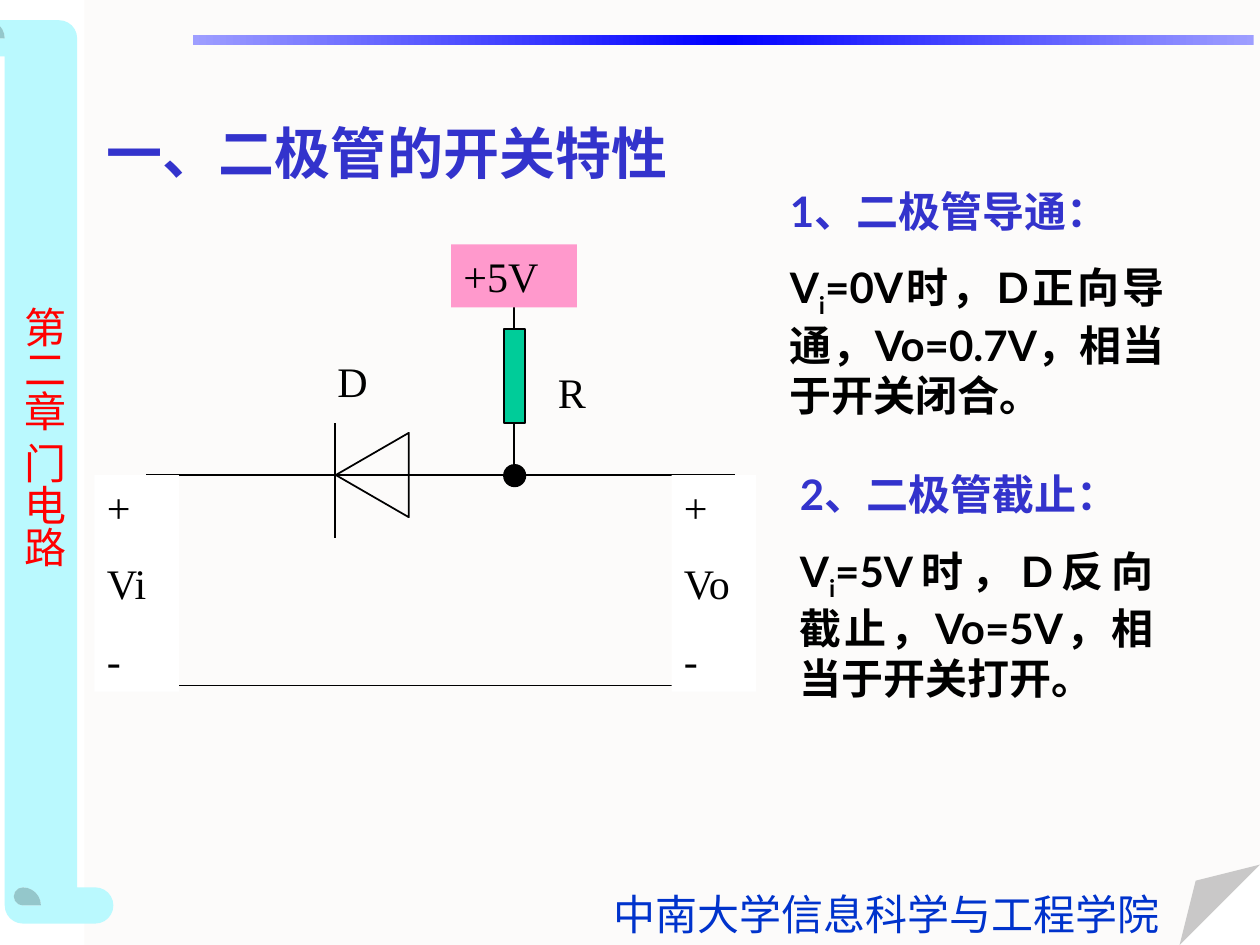
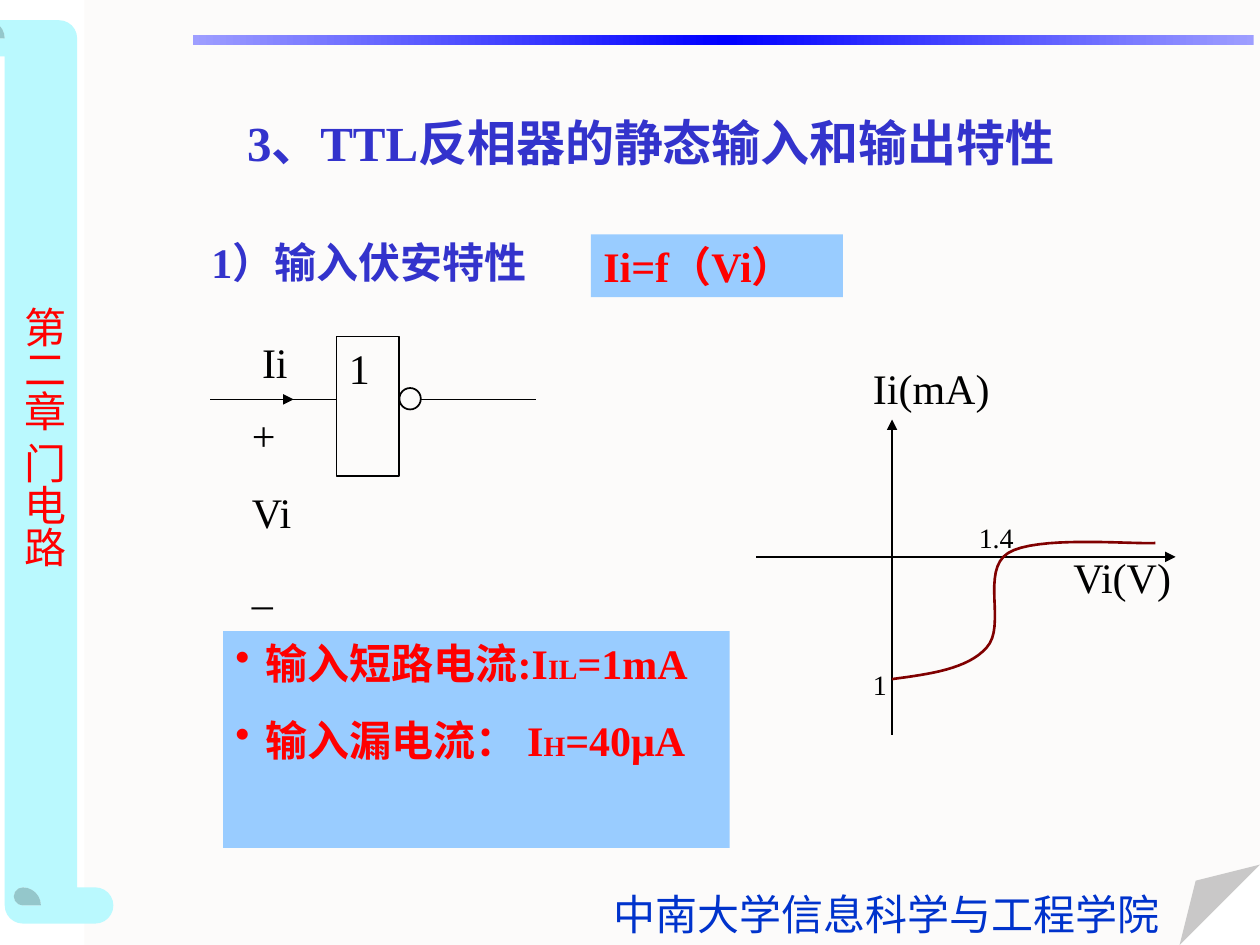
from copy import deepcopy
from dataclasses import dataclass, field
from typing import Any, NamedTuple, Optional

from lxml.etree import SubElement
from pptx import Presentation
from pptx.dml.color import RGBColor
from pptx.enum.shapes import MSO_CONNECTOR, MSO_SHAPE
from pptx.enum.text import MSO_ANCHOR, PP_ALIGN
from pptx.oxml.ns import qn
from pptx.util import Inches, Pt

HUES = {
    "paper": "FCFBFA", "scroll": "BAF9FE", "pale": "9E9EFF", "deep": "0000FF",
    "school": "0033CC", "red": "FF0000", "head": "3333CC", "ink": "000000",
    "green": "00CC99", "pink": "FF99CC", "white": "FFFFFF", "sky": "99CCFF",
    "curve": "800000",
}
ROMAN, LATO, HAN = "Times New Roman", "Lato", "Noto Sans CJK SC"
PAD = (0.1, 0.05, 0.1, 0.05)
NO_PAD = (0, 0, 0, 0)


class Run(NamedTuple):
    text: str
    hue: str = "ink"
    size: int = 24
    face: str = ROMAN
    bold: bool = False
    base: int = 0


@dataclass(frozen=True)
class Para:
    runs: tuple[Run, ...]
    align: Any = PP_ALIGN.LEFT
    bullet: bool = False


@dataclass(frozen=True)
class Box:
    place: tuple[float, float, float, float]
    paras: list[Para] = field(default_factory=list)
    fill: Optional[str] = None
    line: Optional[str] = None
    kind: Any = MSO_SHAPE.RECTANGLE
    turn: int = 0
    adj: Optional[float] = None
    pad: tuple[float, float, float, float] = PAD
    middle: bool = False
    wrap: bool = True
    upright: bool = False


class Wire(NamedTuple):
    x1: float
    y1: float
    x2: float
    y2: float
    arrow: bool = False


def rgb(hue: str) -> RGBColor:
    return RGBColor.from_string(HUES[hue])


def plain(*texts: str, **look: Any) -> list[Para]:
    """One single-run paragraph for each text."""
    return [Para((Run(text, **look),)) for text in texts]


def add_run(para: Any, part: Run) -> None:
    run = para.add_run()
    run.text = part.text
    look = {"size": Pt(part.size), "name": part.face, "bold": part.bold}
    for key, value in look.items():
        setattr(run.font, key, value)
    run.font.color.rgb = rgb(part.hue)
    props = run._r.get_or_add_rPr()
    SubElement(props, qn("a:ea"), typeface=HAN)
    if part.base:
        props.set("baseline", str(part.base * 1000))


def add_bullet(para: Any) -> None:
    props = para._p.get_or_add_pPr()
    props.set("marL", str(Inches(0.24)))
    props.set("indent", str(-Inches(0.24)))
    tint = SubElement(props, qn("a:buClr"))
    SubElement(tint, qn("a:srgbClr"), val=HUES["red"])
    SubElement(props, qn("a:buChar"), char="•")


def write(shape: Any, box: Box) -> None:
    frame = shape.text_frame
    sides = ("margin_left", "margin_top", "margin_right", "margin_bottom")
    look = dict(zip(sides, map(Inches, box.pad)))
    look["word_wrap"] = box.wrap
    look["vertical_anchor"] = MSO_ANCHOR.MIDDLE if box.middle else MSO_ANCHOR.TOP
    for key, value in look.items():
        setattr(frame, key, value)
    if box.upright:
        frame._txBody.bodyPr.set("vert", "eaVert")
    for i, item in enumerate(box.paras):
        para = frame.add_paragraph() if i else frame.paragraphs[0]
        para.alignment = item.align
        if i:
            para.space_before = Pt(15)
        if item.bullet:
            add_bullet(para)
        for part in item.runs:
            add_run(para, part)


def ink(shape: Any, fill: Optional[str], line: Optional[str], width: float = 1) -> None:
    """Set fill and outline, and drop the shadow."""
    shape.shadow.inherit = False
    for style, hue in ((shape.fill, fill), (shape.line.fill, line)):
        if hue:
            style.solid()
            style.fore_color.rgb = rgb(hue)
        else:
            style.background()
    if line:
        shape.line.width = Pt(width)


def adjust(shape: Any, value: float) -> None:
    """Set the preset's one guide, also where python-pptx lists none."""
    guides = shape._element.spPr.find(qn("a:prstGeom")).find(qn("a:avLst"))
    for guide in list(guides):
        guides.remove(guide)
    SubElement(guides, qn("a:gd"), name="adj", fmla=f"val {round(value * 100000)}")


def draw(slide: Any, box: Box) -> Any:
    spot = map(Inches, box.place)
    if box.paras and not (box.fill or box.line):
        shape = slide.shapes.add_textbox(*spot)
    else:
        shape = slide.shapes.add_shape(box.kind, *spot)
        ink(shape, box.fill, box.line)
        shape.rotation = box.turn
        if box.adj is not None:
            adjust(shape, box.adj)
    if box.paras:
        write(shape, box)
    return shape


def link(slide: Any, wire: Wire) -> None:
    line = slide.shapes.add_connector(MSO_CONNECTOR.STRAIGHT, *map(Inches, wire[:4]))
    line.line.width = Pt(1)
    line.line.color.rgb = rgb("ink")
    props = line._element.spPr
    if wire.arrow:
        SubElement(props.find(qn("a:ln")), qn("a:tailEnd"), type="triangle")
    SubElement(props, qn("a:effectLst"))


def render(slide: Any, items: list) -> None:
    for item in items:
        (link if isinstance(item, Wire) else draw)(slide, item)


def add_bar(slide: Any) -> None:
    """Top band, fading from its middle to both ends."""
    bar = draw(slide, Box((1.53, 0.28, 8.42, 0.08), fill="deep"))
    bar.fill.gradient()
    bar.fill.gradient_angle = 0
    stops = bar._element.spPr.find(qn("a:gradFill")).find(qn("a:gsLst"))
    stops.append(deepcopy(stops[0]))
    for i, (stop, hue) in enumerate(zip(bar.fill.gradient_stops, ("pale", "deep", "pale"))):
        stop.position = i / 2
        stop.color.rgb = rgb(hue)


def add_page(deck: Any) -> Any:
    """New slide with paper, scroll, band, footer and chapter name."""
    slide = deck.slides.add_slide(deck.slide_layouts[6])
    render(slide, [
        Box((0.67, 0, 9.33, 7.5), fill="paper", kind=MSO_SHAPE.FOLDED_CORNER, adj=0.085),
        Box((-3.26, 3.17, 7.17, 1.15), fill="scroll", kind=MSO_SHAPE.HORIZONTAL_SCROLL,
            turn=270, adj=0.25),
    ])
    add_bar(slide)
    render(slide, [
        Box((4.77, 7, 4.53, 0.5), plain("中南大学信息科学与工程学院", hue="school"),
            wrap=False),
        Box((0, 2.33, 0.6, 2.27), plain("第二章 门电路", hue="red", face=HAN),
            pad=(0.05, 0.1, 0.05, 0.1), wrap=False, upright=True),
    ])
    return slide


def note(head: tuple[str, str], body: list[tuple[str, str]]) -> list[Para]:
    """Blue heading over a justified paragraph that starts with V sub i."""
    mark, name = head
    runs = [Run("V", face=LATO, bold=True), Run("i", face=LATO, bold=True, base=-25)]
    runs += [Run(text, face=face, bold=True) for text, face in body]
    return [
        Para((Run(mark, "head", face=LATO, bold=True), Run(name, "head", bold=True))),
        Para(tuple(runs), PP_ALIGN.JUSTIFY),
    ]


def add_diode(deck: Any) -> None:
    slide = add_page(deck)
    title = Para((Run("一", "head", 32, LATO, True),
                  Run("、二极管的开关特性", "head", 32, bold=True)))
    mid, top, low = 4.08, 3.77, 5.44
    on = [("=0V时，D正向导通，Vo=0.7V", LATO), ("，相当于开关闭合。", ROMAN)]
    off = [("=5V时，D反向", LATO), ("截止", ROMAN), ("，Vo=5V", LATO),
           ("，相当于开关打开。", ROMAN)]
    ports = [Box((x, top, 0.67, 1.72), plain("+", name, "-"), fill="white")
             for x, name in ((0.75, "Vi"), (5.33, "Vo"))]
    render(slide, [
        Box((0.75, 0.75, 5.78, 0.92), [title], middle=True),
        Wire(1.16, top, 5.83, top),
        Wire(2.66, 3.36, 2.66, 4.27),
        Box((2.62, 3.48, 0.67, 0.58), line="ink", kind=MSO_SHAPE.ISOSCELES_TRIANGLE,
            turn=270),
        Box((4, 2.61, 0.17, 0.75), fill="green", line="ink"),
        Wire(mid, 3.36, mid, top),
        Wire(mid, 2.27, mid, 2.61),
        Box((3.58, 1.94, 1, 0.5), plain("+5V"), fill="pink"),
        Wire(1.08, low, 5.91, low),
        *ports,
        Box((2.58, 2.77, 0.67, 0.5), plain("D")),
        Box((4.33, 2.86, 0.42, 0.5), plain("R")),
        Box((4, 3.69, 0.17, 0.17), fill="ink", line="ink", kind=MSO_SHAPE.OVAL),
        Box((6.17, 1.42, 3.17, 1.97), note(("1、", "二极管导通："), on)),
        Box((6.25, 3.67, 3, 1.97), note(("2、", "二极管截止："), off)),
    ])


def add_curve(slide: Any, start: tuple, bends: list[tuple], steps: int = 16) -> None:
    """Trace joined cubic Bezier bends as one open outline."""
    dots, here = [], start
    for bend in bends:
        knots = (here, *bend)
        for i in range(1, steps + 1):
            t = i / steps
            mix = ((1 - t) ** 3, 3 * t * (1 - t) ** 2, 3 * t * t * (1 - t), t ** 3)
            dots.append(tuple(Inches(sum(m * k[axis] for m, k in zip(mix, knots)))
                              for axis in (0, 1)))
        here = bend[-1]
    pen = slide.shapes.build_freeform(*map(Inches, start))
    pen.add_line_segments(dots, close=False)
    ink(pen.convert_to_shape(), None, "curve", 1.5)


def add_input(deck: Any) -> None:
    slide = add_page(deck)
    title = Para((Run("3、TTL反相器的静态输入和输出特性", "head", 28, bold=True),),
                 PP_ALIGN.CENTER)
    facts = [
        Para(tuple(Run(text, "red", size, bold=True)
                   for text, size in zip(texts, (24, 16, 24))), bullet=True)
        for texts in (("输入短路电流:I", "IL", "=1mA"), ("输入漏电流： I", "H", "=40μA"))
    ]
    mid = 3.17
    render(slide, [
        Box((1, 0.5, 8.33, 1.25), [title], middle=True),
        Box((1.58, 1.83, 5, 0.5), plain("1）输入伏安特性", hue="head", bold=True)),
        Wire(2, mid, 2.67, mid),
        Box((2.67, 2.67, 0.5, 1.11), plain("1"), line="ink"),
        Box((3.17, 3.08, 0.17, 0.17), line="ink", kind=MSO_SHAPE.OVAL),
        Wire(3.33, mid, 4.25, mid),
        Box((2, 3.25, 0.33, 2.02), plain("+", "Vi", "_"), pad=NO_PAD),
        Box((2.08, 2.67, 0.5, 0.4), plain("Ii"), pad=NO_PAD),
        Wire(1.67, mid, 2.33, mid, True),
        Box((4.69, 1.86, 2, 0.5), plain("Ii=f（Vi）", hue="red", bold=True), fill="sky"),
        Box((1.77, 5.01, 4.02, 1.72), facts, fill="sky"),
        Box((8.42, 4.33, 1, 0.5), plain("Vi(V)")),
        Wire(6, 4.42, 9.33, 4.42, True),
        Wire(7.08, 5.83, 7.08, 3.33, True),
    ])
    add_curve(slide, (7.08, 5.39), [
        ((7.38, 5.35), (7.68, 5.31), (7.83, 5.14)),
        ((7.99, 4.97), (7.78, 4.53), (8, 4.39)),
        ((8.22, 4.25), (8.96, 4.32), (9.17, 4.31)),
    ])
    render(slide, [
        Box((6.83, 2.83, 1.83, 0.5), plain("Ii(mA)")),
        Box((6.83, 5.25, 0.42, 0.37), plain("1", size=16)),
        Box((7.67, 4.08, 0.67, 0.37), plain("1.4", size=16)),
    ])


def main() -> None:
    deck = Presentation()
    deck.slide_width, deck.slide_height = Inches(10), Inches(7.5)
    add_diode(deck)
    add_input(deck)
    deck.save("out.pptx")


if __name__ == "__main__":
    main()
